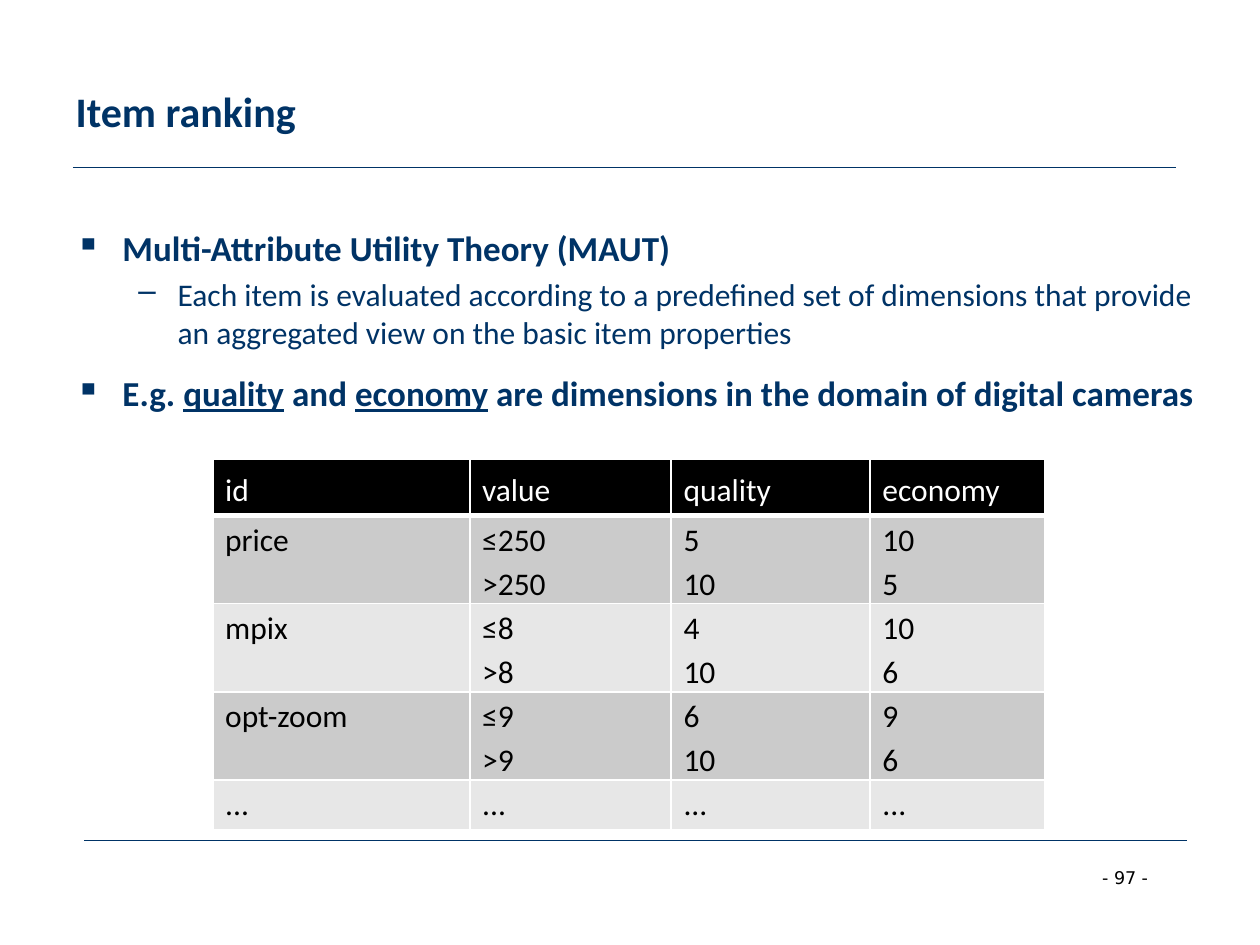
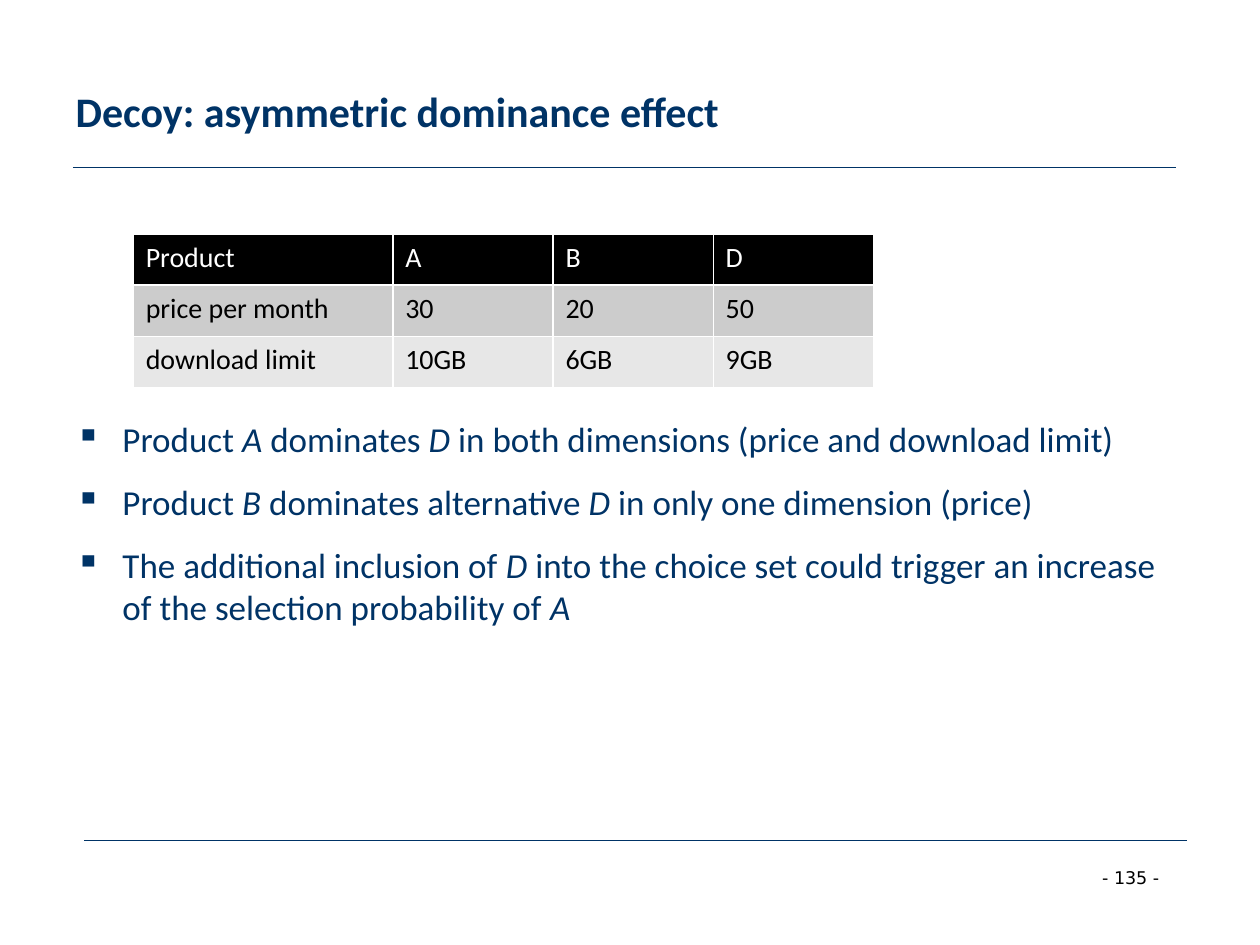
from lxml.etree import SubElement
from pptx import Presentation
from pptx.dml.color import RGBColor
from pptx.enum.shapes import MSO_CONNECTOR
from pptx.enum.text import MSO_ANCHOR, PP_ALIGN
from pptx.oxml.ns import qn
from pptx.util import Cm, Pt

NAVY, BLACK, WHITE = "003366", "000000", "FFFFFF"
LIGHT_GREY = "E7E7E7"
BODY_FONT, NUMBER_FONT = "Calibri", "DejaVu Sans"
TITLE_ONLY = 5
RULE_LENGTH = 22.23
MARGIN_LEFT = 1.27
# level: (bullet, left indent in cm, hanging in cm, space before, text size)
LEVELS = {0: ("▪", 0.95, 0.95, 12, 20), 1: ("–", 2.06, 0.79, 3.6, 18)}
BOLD, ITALIC = {"bold": True}, {"italic": True}
BOLD_UNDERLINED = {"bold": True, "underline": True}


def rgb(hex_colour):
    return RGBColor.from_string(hex_colour)


def add_run(paragraph, text, size, colour, font=BODY_FONT, **styles):
    run = paragraph.add_run()
    run.text = text
    run.font.name = font
    run.font.size = Pt(size)
    run.font.color.rgb = rgb(colour)
    for style, value in styles.items():
        setattr(run.font, style, value)


def add_rule(slide, left, top):
    rule = slide.shapes.add_connector(
        MSO_CONNECTOR.STRAIGHT, Cm(left), Cm(top), Cm(left + RULE_LENGTH), Cm(top))
    rule.line.color.rgb = rgb(NAVY)
    rule.line.width = Pt(0.75)
    SubElement(rule._element.spPr, qn("a:effectLst"))


def add_page_number(slide, number, left, top, width, height):
    box = slide.shapes.add_textbox(Cm(left), Cm(top), Cm(width), Cm(height))
    box.text_frame.word_wrap = True
    add_run(box.text_frame.paragraphs[0], f"- {number} -", 10, BLACK, NUMBER_FONT)


def add_framed_slide(deck, heading, number):
    """Add a slide with its title, the two rules and the page number."""
    slide = deck.slides.add_slide(deck.slide_layouts[TITLE_ONLY])
    title = slide.shapes.title
    title.left, title.top = Cm(MARGIN_LEFT), Cm(0.64)
    title.width, title.height = Cm(22.86), Cm(3.18)
    title.text_frame.vertical_anchor = MSO_ANCHOR.MIDDLE
    paragraph = title.text_frame.paragraphs[0]
    paragraph.alignment = PP_ALIGN.LEFT
    add_run(paragraph, heading, 24, NAVY, bold=True)
    add_rule(slide, 1.47, 3.38)
    add_rule(slide, 1.7, 16.94)
    add_page_number(slide, number, 21.97, 17.35, 1.93, 0.69)
    return slide


def add_bullets(slide, points, left, top, width, height):
    """Add bulleted points, each a level and a list of (text, styles) runs."""
    box = slide.shapes.add_textbox(Cm(left), Cm(top), Cm(width), Cm(height))
    frame = box.text_frame
    frame.word_wrap = True
    for index, (level, runs) in enumerate(points):
        paragraph = frame.add_paragraph() if index else frame.paragraphs[0]
        bullet, indent, hanging, space_before, size = LEVELS[level]
        properties = paragraph._p.get_or_add_pPr()
        properties.set("marL", str(Cm(indent)))
        properties.set("indent", str(-Cm(hanging)))
        SubElement(properties, qn("a:buChar"), char=bullet)
        paragraph.level = level
        if index:
            paragraph.space_before = Pt(space_before)
        for text, styles in runs:
            add_run(paragraph, text, size, NAVY, **styles)


def add_borders(cell, top=1, bottom=1):
    properties = cell._tc.get_or_add_tcPr()
    for side, points in (("L", 1), ("R", 1), ("T", top), ("B", bottom)):
        border = SubElement(properties, qn(f"a:ln{side}"), w=str(Pt(points)))
        fill = SubElement(border, qn("a:solidFill"))
        SubElement(fill, qn("a:srgbClr"), val=WHITE)


def add_grid(slide, rows, left, top, widths, heights, size, dark_grey,
             header_rule=1, line_spacing=None, body_inset=0.13):
    """Add a table with a black header and rows in alternating greys."""
    table = slide.shapes.add_table(
        len(rows), len(widths), Cm(left), Cm(top),
        Cm(sum(widths)), Cm(sum(heights))).table
    for column, width in zip(table.columns, widths):
        column.width = Cm(width)
    for row_index, (values, height) in enumerate(zip(rows, heights)):
        table.rows[row_index].height = Cm(height)
        is_header = row_index == 0
        if is_header:
            fill_colour = BLACK
        else:
            fill_colour = dark_grey if row_index % 2 else LIGHT_GREY
        for column_index, value in enumerate(values):
            cell = table.cell(row_index, column_index)
            add_borders(cell, top=header_rule if row_index == 1 else 1,
                        bottom=header_rule if is_header else 1)
            cell.fill.solid()
            cell.fill.fore_color.rgb = rgb(fill_colour)
            cell.margin_top = cell.margin_bottom = Cm(0.13 if is_header else body_inset)
            cell.margin_left = cell.margin_right = Cm(0.25)
            frame = cell.text_frame
            for line_index, line in enumerate(value.split("\n")):
                paragraph = frame.add_paragraph() if line_index else frame.paragraphs[0]
                paragraph.line_spacing = line_spacing
                add_run(paragraph, line, size, WHITE if is_header else BLACK, bold=False)


def build_item_ranking(deck):
    slide = add_framed_slide(deck, "Item ranking", 97)
    points = [
        (0, [("Multi-Attribute Utility Theory (MAUT)", BOLD)]),
        (1, [("Each item is evaluated according to a predefined set of dimensions "
              "that provide an aggregated view on the basic item properties", {})]),
        (0, [("E.g. ", BOLD), ("quality", BOLD_UNDERLINED), (" and ", BOLD),
             ("economy", BOLD_UNDERLINED),
             (" are dimensions in the domain of digital cameras", BOLD)]),
    ]
    add_bullets(slide, points, MARGIN_LEFT, 4.45, 23.24, 12.57)
    utilities = [
        ("id", "value", "quality", "economy"),
        ("price", "≤250\n>250", "5\n10", "10\n5"),
        ("mpix", "≤8\n>8", "4\n10", "10\n6"),
        ("opt-zoom", "≤9\n>9", "6\n10", "9\n6"),
        ("...",) * 4,
    ]
    add_grid(slide, utilities, 4.29, 9.25, (5.18, 4.06, 4.01, 3.53),
             (1.09, 1.78, 1.78, 1.78, 0.99), 18, "CBCBCB",
             header_rule=3, line_spacing=1.15, body_inset=0)


def build_decoy_effect(deck):
    slide = add_framed_slide(deck, "Decoy: asymmetric dominance effect", 135)
    points = [
        (0, [("Product ", {}), ("A ", ITALIC), ("dominates ", {}), ("D ", ITALIC),
             ("in both dimensions (price and download limit)", {})]),
        (0, [("Product ", {}), ("B ", ITALIC), ("dominates alternative ", {}),
             ("D ", ITALIC), ("in only one dimension (price)", {})]),
        (0, [("The additional inclusion of ", {}), ("D ", ITALIC),
             ("into the choice set could trigger an increase of the selection "
              "probability of ", {}), ("A", ITALIC)]),
    ]
    add_bullets(slide, points, MARGIN_LEFT, 8.3, 22.86, 8.72)
    products = [
        ("Product", "A", "B", "D"),
        ("price per month", "30", "20", "50"),
        ("download limit", "10GB", "6GB", "9GB"),
    ]
    add_grid(slide, products, 2.69, 4.72, (5.23,) + (3.23,) * 3, (1.03,) * 3,
             16, "CCCCCC")


def main():
    deck = Presentation()
    deck.slide_width, deck.slide_height = Cm(25.4), Cm(19.05)
    build_item_ranking(deck)
    build_decoy_effect(deck)
    deck.save("out.pptx")


if __name__ == "__main__":
    main()
